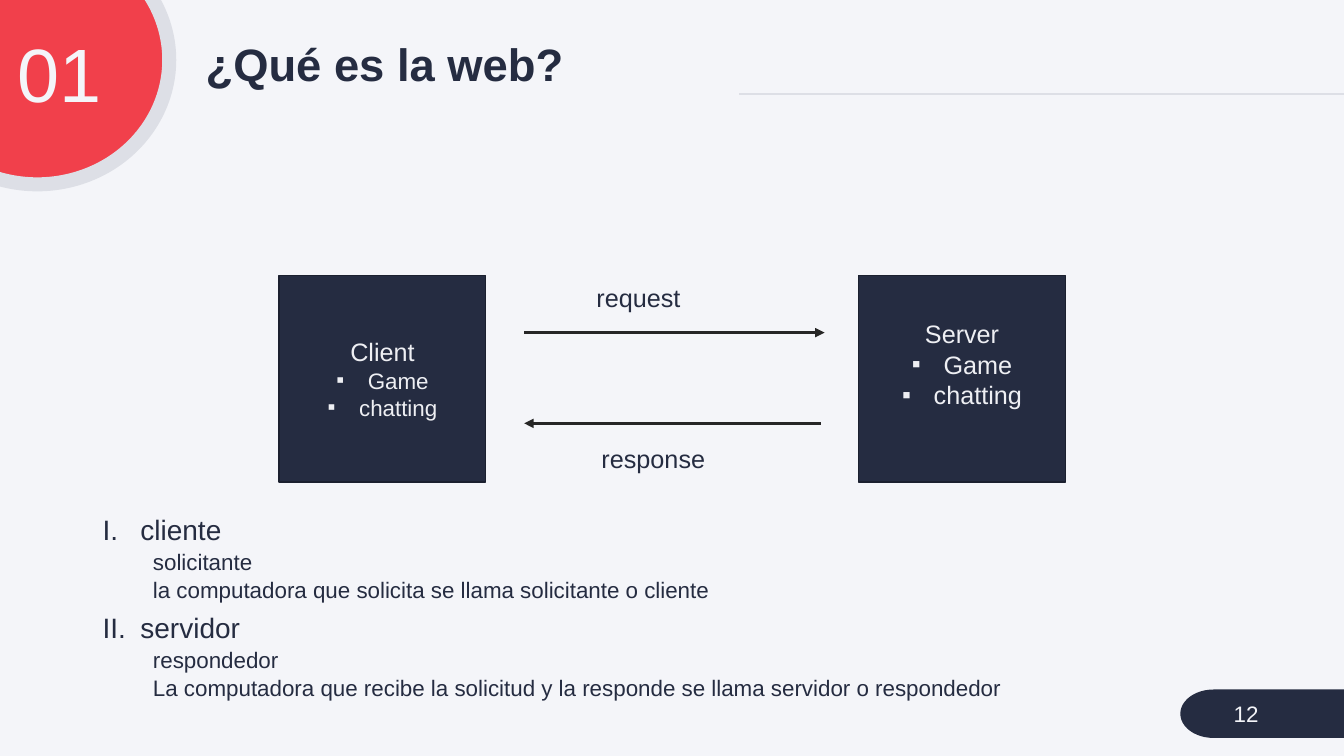
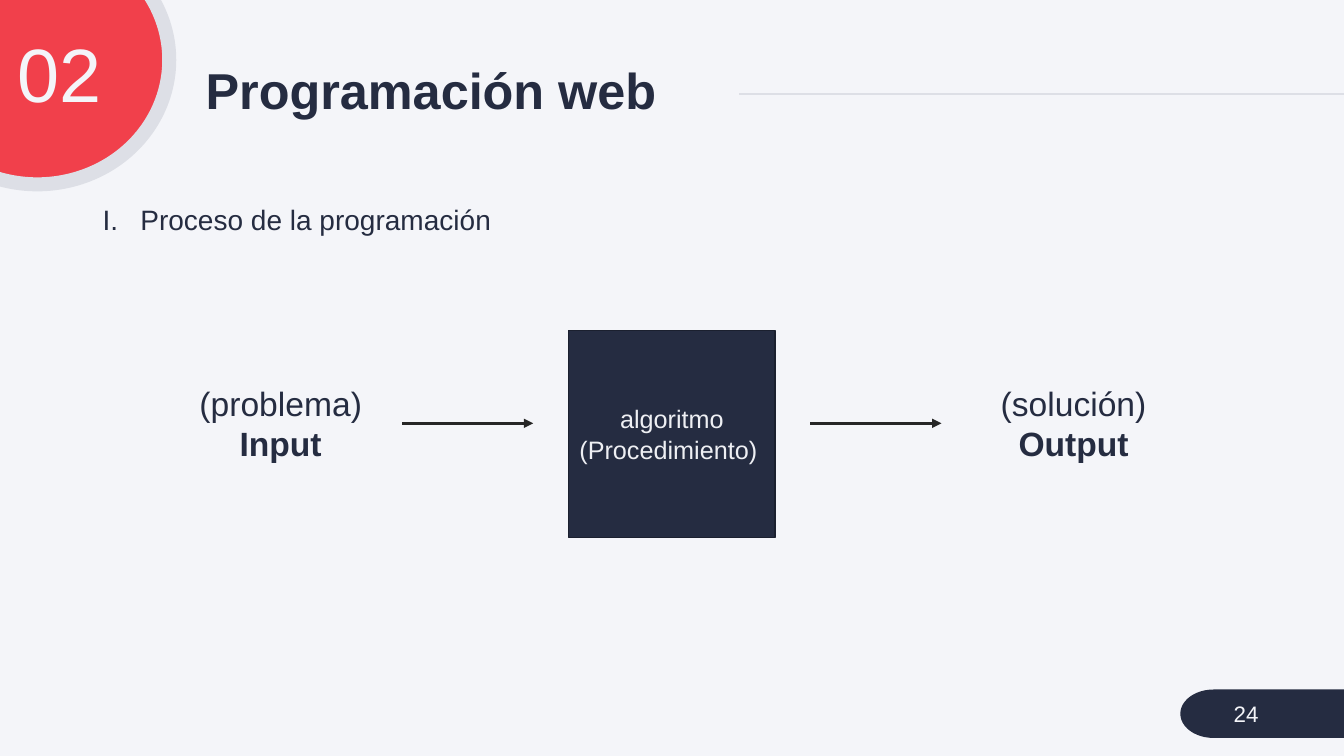
from collections import namedtuple
from dataclasses import dataclass

from lxml import etree
from pptx import Presentation
from pptx.dml.color import RGBColor
from pptx.enum.shapes import MSO_CONNECTOR, MSO_SHAPE
from pptx.enum.text import MSO_ANCHOR, MSO_AUTO_SIZE, PP_ALIGN
from pptx.oxml.ns import qn
from pptx.util import Pt

STRAIGHT = MSO_CONNECTOR.STRAIGHT
ELLIPSE, RECTANGLE = MSO_SHAPE.OVAL, MSO_SHAPE.RECTANGLE
TERMINATOR = MSO_SHAPE.FLOWCHART_TERMINATOR
TOP, MIDDLE = MSO_ANCHOR.TOP, MSO_ANCHOR.MIDDLE
LEFT, CENTER, RIGHT = PP_ALIGN.LEFT, PP_ALIGN.CENTER, PP_ALIGN.RIGHT
NO_AUTOFIT = MSO_AUTO_SIZE.NONE
TITLE_ONLY = 5

Box = namedtuple("Box", "left top width height")
ROMAN = ("a:buAutoNum", {"type": "romanUcPeriod"})
SQUARE = ("a:buChar", {"char": "▪"})
PLAIN = ("a:buNone", {})


@dataclass(frozen=True)
class Theme:
    """Colours and type sizes of the deck."""
    font: str = "Arial"
    paper: str = "F4F5F9"
    navy: str = "252C41"
    edge: str = "1B202F"
    red: str = "F1404B"
    rule: str = "DDDFE6"
    arrow: str = "262626"
    pale: str = "EEEFF3"
    section: float = 54
    title: float = 36
    small_title: float = 32.4
    stage: float = 24
    item: float = 20
    label: float = 18
    detail: float = 16


THEME = Theme()


def lengths(box):
    """Turn a box into point lengths."""
    return [Pt(round(value, 2)) for value in box]


def add_para(frame, text, size, color=THEME.navy, align=LEFT, bold=False,
             spacing=1, before=0):
    """Write one paragraph into the next free place of a text frame."""
    last = frame.paragraphs[-1]
    para = frame.add_paragraph() if last.runs else last
    para.alignment = align
    para.line_spacing = spacing
    para.space_before = Pt(before)
    span = para.add_run()
    span.text = text
    span.font.name = THEME.font
    span.font.size = Pt(size)
    span.font.bold = bold
    span.font.color.rgb = RGBColor.from_string(color)
    return para


def set_bullet(para, mark, color, margin, indent):
    """Give a paragraph its bullet and hanging indent."""
    props = para._p.get_or_add_pPr()
    props.set("marL", str(Pt(margin)))
    props.set("indent", str(Pt(indent)))
    if mark != PLAIN:
        tint = etree.SubElement(props, qn("a:buClr"))
        etree.SubElement(tint, qn("a:srgbClr"), val=color)
        etree.SubElement(props, qn("a:buFont"), typeface=THEME.font)
    tag, settings = mark
    etree.SubElement(props, qn(tag), settings)


def set_frame(frame, anchor):
    """Make a text frame wrap at a fixed size."""
    frame.word_wrap = True
    frame.auto_size = NO_AUTOFIT
    frame.vertical_anchor = anchor
    return frame


def add_text(page, box, anchor=TOP):
    """Add an empty text box and return its frame."""
    return set_frame(page.shapes.add_textbox(*lengths(box)).text_frame, anchor)


def add_block(page, box, kind, fill, line=None, weight=1):
    """Add a filled shape and return it."""
    block = page.shapes.add_shape(kind, *lengths(box))
    block.shadow.inherit = False
    block.fill.solid()
    block.fill.fore_color.rgb = RGBColor.from_string(fill)
    if line:
        block.line.color.rgb = RGBColor.from_string(line)
        block.line.width = Pt(weight)
    else:
        block.line.fill.background()
    return block


def add_line(page, start, end, y, color, weight, arrow=False):
    """Draw a level line, with an arrowhead at its end if wanted."""
    line = page.shapes.add_connector(STRAIGHT, *lengths((start, y, end, y)))
    line.line.color.rgb = RGBColor.from_string(color)
    line.line.width = Pt(weight)
    if arrow:
        etree.SubElement(line.line._get_or_add_ln(), qn("a:tailEnd"), type="triangle")
    etree.SubElement(line._element.spPr, qn("a:effectLst"))


def add_arrow(page, start, end, y):
    """Draw a level arrow."""
    add_line(page, start, end, y, THEME.arrow, 2.25, arrow=True)


def add_node(page, box):
    """Add a dark square of the diagrams and return its frame."""
    node = add_block(page, box, RECTANGLE, THEME.navy, THEME.edge)
    return set_frame(node.text_frame, MIDDLE)


def add_page(deck, section, title, number, title_top=42.5, title_size=THEME.title):
    """Add a slide with its title, section disc, rule and number tab."""
    page = deck.slides.add_slide(deck.slide_layouts[TITLE_ONLY])
    add_line(page, 528, 960, 67, THEME.rule, 1.5)
    add_block(page, Box(-67.7, -46.1, 188.6, 177.8), ELLIPSE, THEME.red, THEME.rule, 10)
    add_block(page, Box(843.1, 492.5, 147.6, 34.6), TERMINATOR, THEME.navy)
    heading = page.shapes.title
    heading.left, heading.top, heading.width, heading.height = lengths(
        Box(139.7, title_top, 388, 48.2))
    add_para(set_frame(heading.text_frame, MIDDLE), title, title_size,
             bold=True, spacing=0.9)
    add_para(add_text(page, Box(-7.9, 23, 87.8, 66.2)), section, THEME.section,
             THEME.paper, RIGHT, spacing=0.9)
    add_para(add_text(page, Box(874.1, 495.4, 78.5, 28.8), MIDDLE), number,
             THEME.detail, THEME.paper)
    return page


def add_outline(page, box, topics, spacing):
    """List numbered topics, each with its indented details."""
    frame = add_text(page, box)
    for index, (topic, details) in enumerate(topics):
        para = add_para(frame, topic, THEME.item, spacing=spacing,
                        before=10 if index else 0)
        set_bullet(para, ROMAN, THEME.navy, 27, -27)
        for detail in details:
            para = add_para(frame, detail, THEME.detail, spacing=spacing, before=5)
            para.level = 1
            set_bullet(para, PLAIN, THEME.navy, 36, 0)


def add_exchange(page, box):
    """Draw client and server with the messages between them."""
    side = box.height
    nodes = (("Client", box.left, THEME.detail, 3.6),
             ("Server", box.left + box.width - side, THEME.label, 24.3))
    for name, left, size, bottom in nodes:
        frame = add_node(page, Box(left, box.top, side, side))
        frame.margin_bottom = Pt(bottom)
        add_para(frame, name, THEME.label, THEME.pale, CENTER)
        for use in ("Game", "chatting"):
            para = add_para(frame, use, size, THEME.pale, CENTER)
            set_bullet(para, SQUARE, THEME.pale, 22.5, -22.5)
    start = box.left + side + 27.4
    messages = (("request", start, start + 214.6, 41, 44.6, 1.4),
                ("response", start + 211.7, start, 105.8, 48.2, 116.6))
    for message, tail, head, drop, shift, top in messages:
        add_arrow(page, tail, head, box.top + drop)
        label = Box(start + shift, box.top + top, 130, 28.8)
        add_para(add_text(page, label), message, THEME.label)


def add_process(page, box):
    """Draw input, procedure and output from left to right."""
    side, gap, reach = box.height, 25.2, 93.6
    left = box.left + 293.8
    right = left + side
    frame = add_node(page, Box(left, box.top, side, side))
    for text in ("algoritmo", "(Procedimiento) "):
        add_para(frame, text, THEME.label, THEME.pale, CENTER)
    stages = (("(problema)", "Input", box.left, 176.4),
              ("(solución)", "Output", box.left + box.width - 168.5, 168.5))
    for note, name, stage_left, width in stages:
        frame = add_text(page, Box(stage_left, box.top + 33.8, width, 65.5))
        add_para(frame, note, THEME.stage, align=CENTER)
        add_para(frame, name, THEME.stage, align=CENTER, bold=True)
    for start in (left - gap - reach, right + gap):
        add_arrow(page, start, start + reach, box.top + 66.2)


def add_web_slide(deck):
    """Build the slide on what the web is."""
    page = add_page(deck, "01", "¿Qué es la web?", "12", 23.5, THEME.small_title)
    add_outline(page, Box(66.2, 367.2, 828, 132), (
        ("cliente", ("solicitante",
                     "la computadora que solicita se llama solicitante o cliente")),
        ("servidor", ("respondedor",
                      "La computadora que recibe la solicitud y la responde "
                      "se llama servidor o respondedor")),
    ), 0.8)
    add_exchange(page, Box(199.4, 196.6, 561.6, 147.6))


def add_programming_slide(deck):
    """Build the slide on web programming."""
    page = add_page(deck, "02", "Programación web", "24")
    add_outline(page, Box(66.2, 144, 828, 342.7),
                (("Proceso de la programación", ()),), 0.9)
    add_process(page, Box(112.3, 236.2, 738.8, 147.6))


def main():
    """Build and save the deck."""
    deck = Presentation()
    deck.slide_width, deck.slide_height = Pt(960), Pt(540)
    backdrop = deck.slide_master.background.fill
    backdrop.solid()
    backdrop.fore_color.rgb = RGBColor.from_string(THEME.paper)
    add_web_slide(deck)
    add_programming_slide(deck)
    deck.save("out.pptx")


main()
